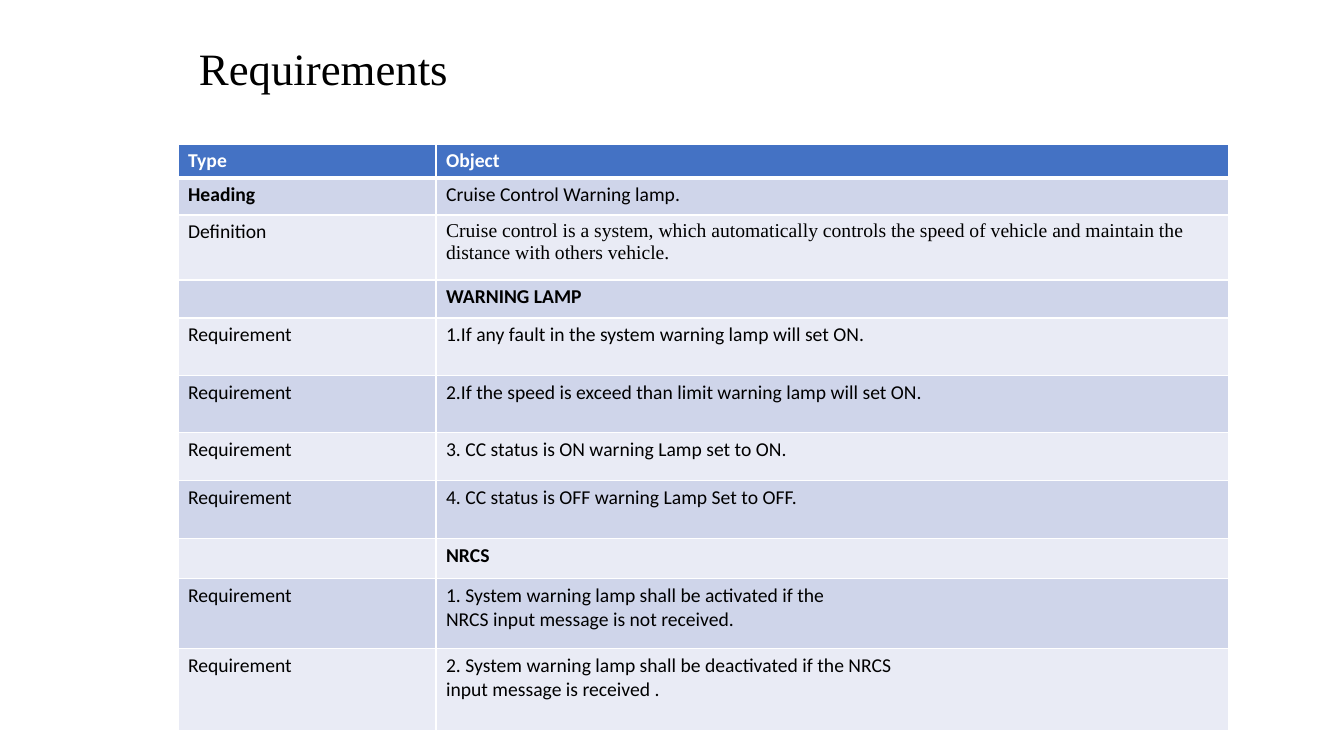
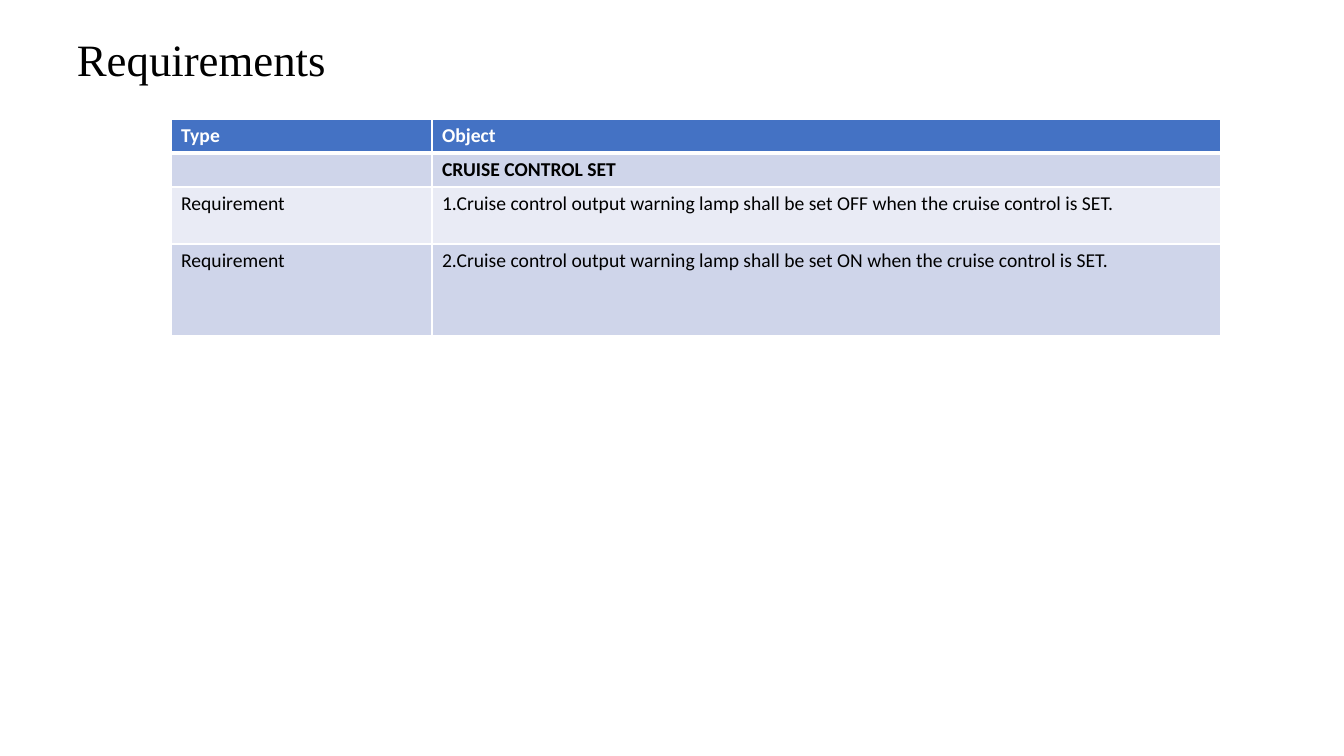
from lxml import etree
from pptx import Presentation
from pptx.dml.color import RGBColor
from pptx.enum.text import MSO_ANCHOR
from pptx.oxml.ns import qn
from pptx.util import Emu, Pt

MIDDLE = MSO_ANCHOR.MIDDLE
EMU_PER_PX = 914400 / 100.8
WHITE, BLACK = "FFFFFF", "000000"
HEADER_BLUE = "4472C4"
BANDS = ("CFD5EA", "E9EBF5")
SANS, SERIF = "Calibri", "Times New Roman"
TITLE_SIZE, TABLE_SIZE = 32, 14


def px(length):
    return Emu(round(length * EMU_PER_PX))


def color(hex_string):
    return RGBColor.from_string(hex_string)


class Deck:
    def __init__(self):
        self.prs = Presentation()
        self.prs.slide_width = px(1344)
        self.prs.slide_height = px(756)
        self.slide = None

    def new_slide(self):
        self.slide = self.prs.slides.add_slide(self.prs.slide_layouts[6])

    def run(self, paragraph, text, size, font, ink, bold=False):
        run = paragraph.add_run()
        run.text = text
        run.font.size = Pt(size)
        run.font.name = font
        run.font.bold = bold
        run.font.color.rgb = color(ink)

    def title(self, left, top, width, height, text):
        frame = self.slide.shapes.add_textbox(
            px(left), px(top), px(width), px(height)).text_frame
        frame.word_wrap = True
        frame.vertical_anchor = MIDDLE
        heading = frame.paragraphs[0]
        heading.line_spacing = 0.9
        self.run(heading, text, TITLE_SIZE, SERIF, BLACK)

    def borders(self, cell, bottom):
        properties = cell._tc.get_or_add_tcPr()
        for side, width in (("L", 1), ("R", 1), ("T", 1), ("B", bottom)):
            line = etree.SubElement(properties, qn(f"a:ln{side}"), w=str(Pt(width)))
            fill = etree.SubElement(line, qn("a:solidFill"))
            etree.SubElement(fill, qn("a:srgbClr"), val=WHITE)

    def cell(self, cell, text, fill, ink=BLACK, font=SANS, bold=False, bottom=1):
        self.borders(cell, bottom)
        cell.fill.solid()
        cell.fill.fore_color.rgb = color(fill)
        frame = cell.text_frame
        if not text:
            etree.SubElement(frame.paragraphs[0]._p, qn("a:endParaRPr"),
                             sz=str(TABLE_SIZE * 100))
            return
        for index, line in enumerate(text.split("\n")):
            paragraph = frame.add_paragraph() if index else frame.paragraphs[0]
            self.run(paragraph, line, TABLE_SIZE, font, ink, bold)

    def requirements(self, left, top, widths, requirements):
        heights = [34] + [height for height, _, _ in requirements]
        table = self.slide.shapes.add_table(
            len(heights), len(widths), px(left), px(top),
            px(sum(widths)), px(sum(heights))).table
        for column, width in zip(table.columns, widths):
            column.width = px(width)
        for row, height in zip(table.rows, heights):
            row.height = px(height)
        for index, label in enumerate(("Type", "Object")):
            self.cell(table.cell(0, index), label, HEADER_BLUE, WHITE,
                      bold=True, bottom=3)
        for index, (_, kind, statement) in enumerate(requirements):
            band = BANDS[index % 2]
            self.cell(table.cell(index + 1, 0), kind, band, bold=kind == "Heading")
            self.cell(table.cell(index + 1, 1), statement, band,
                      font=SERIF if kind == "Definition" else SANS,
                      bold=not kind)


WARNING_LAMP = [
    (37, "Heading", "Cruise Control Warning lamp."),
    (65, "Definition", "Cruise control is a system, which automatically controls "
     "the speed of vehicle and maintain the distance with others vehicle."),
    (38, "", "WARNING LAMP"),
    (58, "Requirement", "1.If any fault in the system warning lamp will set ON."),
    (57, "Requirement",
     "2.If the speed is exceed than limit warning lamp will set ON."),
    (48, "Requirement", "3. CC status is ON warning Lamp set to ON."),
    (58, "Requirement", "4. CC status is OFF warning Lamp Set to OFF."),
    (40, "", "NRCS"),
    (70, "Requirement", "1. System warning lamp shall be activated if the\n"
     "NRCS input message is not received."),
    (82, "Requirement", "2. System warning lamp shall be deactivated if the NRCS\n"
     "input message is received ."),
]

CRUISE_CONTROL_SET = [
    (34, "", "CRUISE CONTROL SET"),
    (57, "Requirement", "1.Cruise control output warning lamp shall be set OFF "
     "when the cruise control is SET."),
    (92, "Requirement", "2.Cruise control output warning lamp shall be set ON "
     "when the cruise control is SET."),
]

PAGES = [
    ((189, 37, 370, 68), (178, 144, (258, 793)), WARNING_LAMP),
    ((67, 24, 477, 76), (171, 119, (261, 789)), CRUISE_CONTROL_SET),
]


def main():
    deck = Deck()
    for title_box, table_place, requirements in PAGES:
        deck.new_slide()
        deck.title(*title_box, "Requirements")
        deck.requirements(*table_place, requirements)
    deck.prs.save("out.pptx")


if __name__ == "__main__":
    main()
